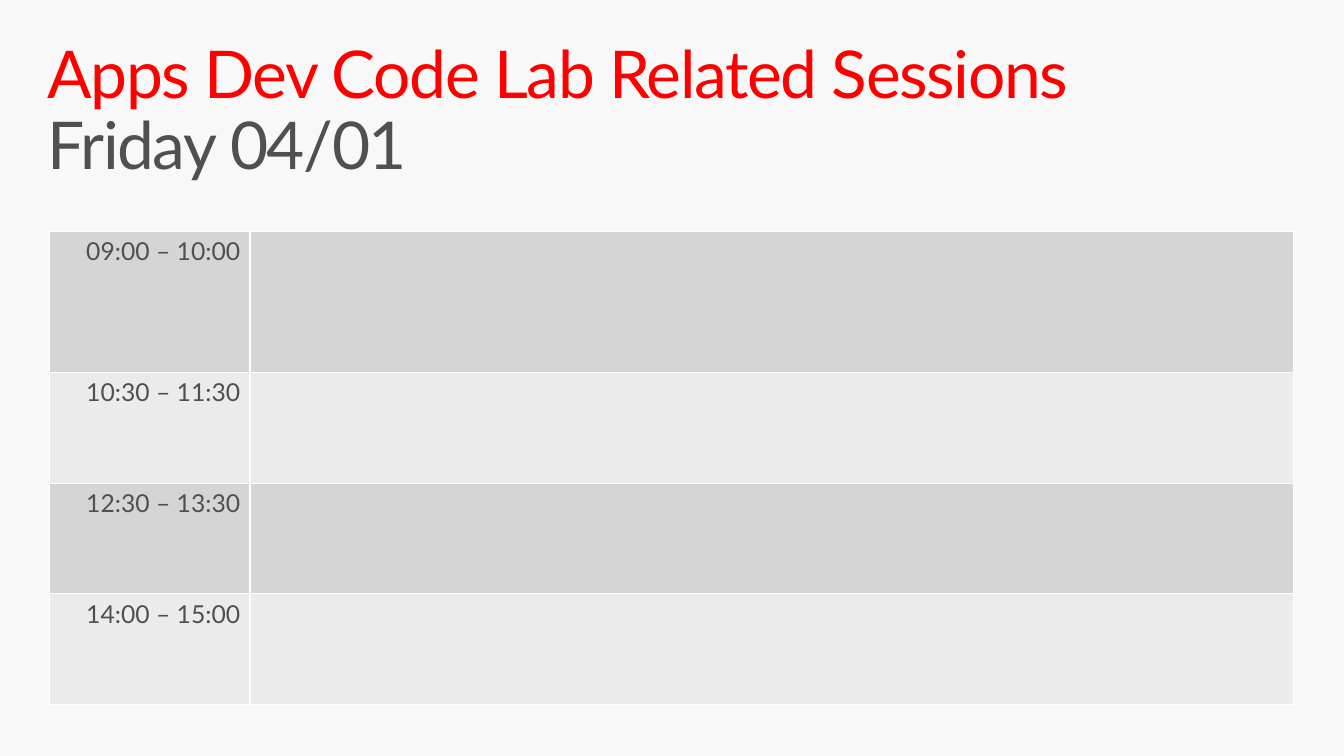
from typing import NamedTuple

from lxml import etree
from pptx import Presentation
from pptx.dml.color import RGBColor
from pptx.enum.text import PP_ALIGN
from pptx.oxml.ns import qn
from pptx.util import Emu, Pt

RIGHT = PP_ALIGN.RIGHT
EMU_PER_PX = 9144
FONT = "Lato"
RED = "FF0000"
GREY = "505050"
WHITE = "FFFFFF"
BACKGROUND = "F8F8F8"
BANDS = ("D5D5D5", "EBEBEB")
COLUMN_WIDTHS = (203, 1056)


class TitleLine(NamedTuple):
    text: str
    color: str


class Session(NamedTuple):
    time: str
    height: int


TITLE_LINES = (
    TitleLine("Apps Dev Code Lab Related Sessions", RED),
    TitleLine("Friday 04/01", GREY),
)
SESSIONS = (
    Session("09:00 – 10:00", 143),
    Session("10:30 – 11:30", 112),
    Session("12:30 – 13:30", 112),
    Session("14:00 – 15:00", 112),
)


def px(length: int) -> Emu:
    return Emu(length * EMU_PER_PX)


def rgb(color: str) -> RGBColor:
    return RGBColor.from_string(color)


def add_title(slide, lines: tuple[TitleLine, ...]) -> None:
    tf = slide.shapes.add_textbox(px(32), px(32), px(1300), px(100)).text_frame
    tf.word_wrap = True
    tf.margin_left = tf.margin_right = px(16)
    tf.margin_top = tf.margin_bottom = px(10)
    p = tf.paragraphs[0]
    p.line_spacing = 0.9
    p.font.name = FONT
    p.font.size = Pt(48)
    for index, line in enumerate(lines):
        if index:
            p.add_line_break()
        r = p.add_run()
        r.text = line.text
        r.font.color.rgb = rgb(line.color)
        r._r.get_or_add_rPr().set("spc", "-100")


def set_borders(cell, color: str) -> None:
    tc_pr = cell._tc.get_or_add_tcPr()
    for index, side in enumerate(("a:lnL", "a:lnR", "a:lnT", "a:lnB")):
        ln = etree.Element(qn(side), w=str(Pt(1)))
        fill = etree.SubElement(ln, qn("a:solidFill"))
        etree.SubElement(fill, qn("a:srgbClr"), val=color)
        tc_pr.insert(index, ln)


def add_schedule(slide, sessions: tuple[Session, ...]) -> None:
    height = sum(session.height for session in sessions)
    table = slide.shapes.add_table(
        len(sessions), len(COLUMN_WIDTHS),
        px(50), px(234), px(sum(COLUMN_WIDTHS)), px(height),
    ).table
    table.first_row = False
    table.horz_banding = False
    for column, width in zip(table.columns, COLUMN_WIDTHS):
        column.width = px(width)
    for index, (row, session) in enumerate(zip(table.rows, sessions)):
        row.height = px(session.height)
        for cell in row.cells:
            cell.fill.solid()
            cell.fill.fore_color.rgb = rgb(BANDS[index % len(BANDS)])
            set_borders(cell, WHITE)
        p = row.cells[0].text_frame.paragraphs[0]
        p.text = session.time
        p.alignment = RIGHT
        p.font.name = FONT
        p.font.size = Pt(18)
        p.font.color.rgb = rgb(GREY)


def main() -> None:
    prs = Presentation()
    prs.slide_width = px(1360)
    prs.slide_height = px(765)
    slide = prs.slides.add_slide(prs.slide_layouts[6])
    slide.background.fill.solid()
    slide.background.fill.fore_color.rgb = rgb(BACKGROUND)
    add_title(slide, TITLE_LINES)
    add_schedule(slide, SESSIONS)
    prs.save("out.pptx")


if __name__ == "__main__":
    main()
